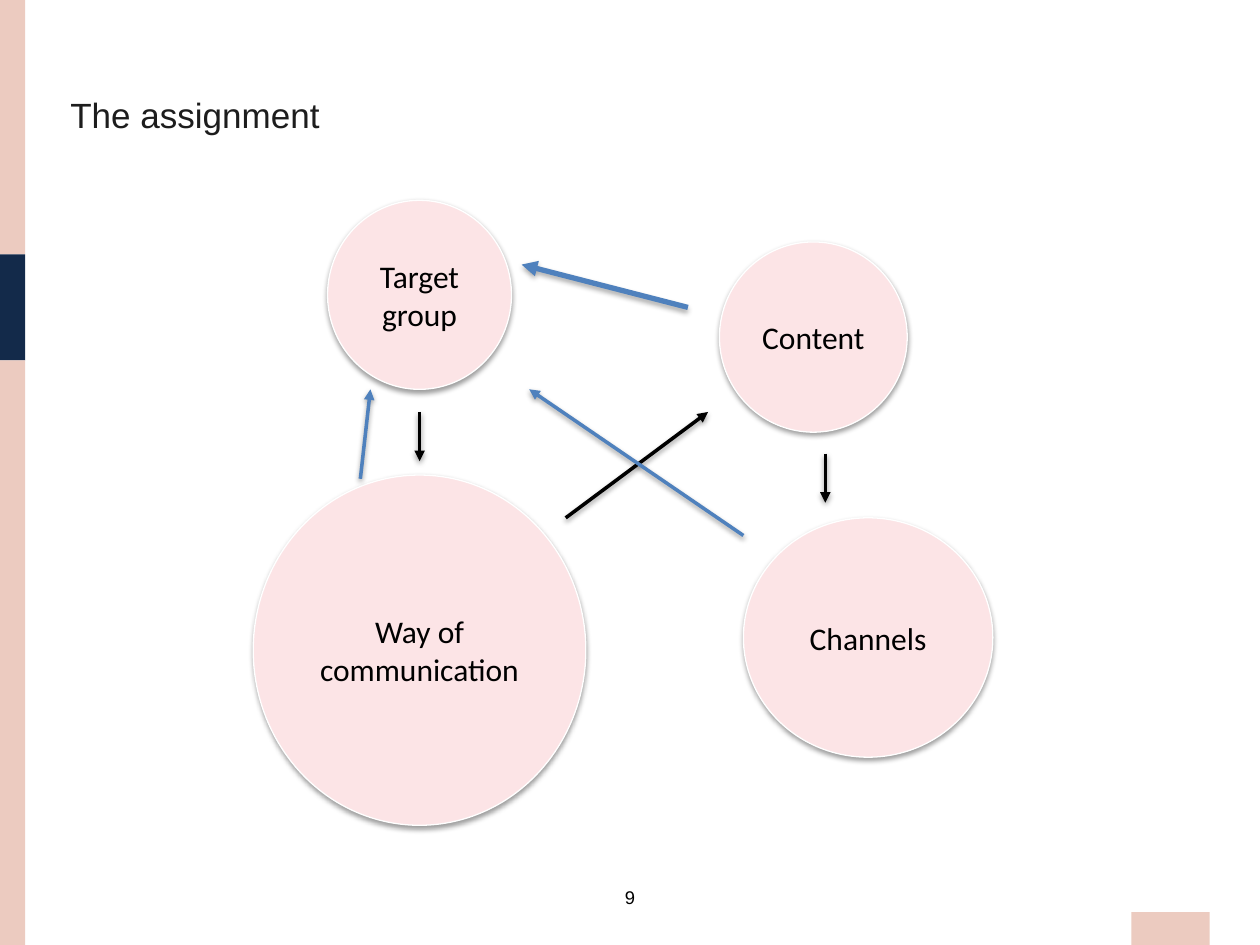
import pptx
import pptx.dml.color
import pptx.enum.shapes
import pptx.enum.text
import pptx.oxml
import pptx.oxml.ns
import pptx.util

RGBColor = pptx.dml.color.RGBColor
Shapes = pptx.enum.shapes.MSO_SHAPE
Align = pptx.enum.text.PP_ALIGN
Pt = pptx.util.Pt

WHITE = RGBColor(0xFF, 0xFF, 0xFF)
BLACK = RGBColor(0x00, 0x00, 0x00)
INK = RGBColor(0x1D, 0x1D, 0x1D)
SAND = RGBColor(0xEC, 0xCB, 0xC0)
NAVY = RGBColor(0x13, 0x2A, 0x4A)
PINK = RGBColor(0xFC, 0xE4, 0xE6)
BLUE = RGBColor(0x4F, 0x81, 0xBD)

COLUMNS, ROWS = 100, 75
CELL = pptx.util.Inches(0.1)
BAR_WIDTH = 2

# left, top, width, height in grid cells
BARS = [
    (0, 0, BAR_WIDTH, 20.2, SAND),
    (0, 20.2, BAR_WIDTH, 8.4, NAVY),
    (0, 28.6, BAR_WIDTH, ROWS - 28.6, SAND),
    (89.8, 72.4, 6.2, ROWS - 72.4, SAND),
]
TOPICS = [
    ("Target group", 26, 15.9, 14.6, 15),
    ("Content", 57.1, 19.2, 14.9, 15.1),
    ("Channels", 59, 41.1, 19.8, 19),
    ("Way of communication", 20.1, 37.7, 26.4, 27.8),
]
# start and end in grid cells, colour, width in points, shadow opacity and distance
ARROWS = [
    ((33.3, 32.7), (33.3, 36.6), BLACK, 2, 38, 1.6),
    ((44.9, 41.1), (56.2, 32.7), BLACK, 2, 38, 1.6),
    ((65.5, 36), (65.5, 39.9), BLACK, 2, 38, 1.6),
    ((59, 42.5), (42, 30.9), BLUE, 2, 38, 1.6),
    ((28.6, 38), (29.4, 30.9), BLUE, 2, 38, 1.6),
    ((54.6, 24.4), (41.4, 21), BLUE, 3, 35, 1.8),
]


def cells(*counts):
    """Turn grid cells into slide lengths."""
    return [round(count * CELL) for count in counts]


def add_span(para, text, size, font, color):
    span = para.add_run()
    span.text = text
    span.font.size = Pt(size)
    span.font.name = font
    span.font.color.rgb = color


def add_shadow(properties, opacity=38, distance=1.6):
    """Give the shape properties a soft shadow that falls straight down."""
    for effects in properties.findall(pptx.oxml.ns.qn("a:effectLst")):
        properties.remove(effects)
    properties.append(pptx.oxml.parse_xml(
        f'<a:effectLst {pptx.oxml.ns.nsdecls("a")}>'
        f'<a:outerShdw blurRad="{Pt(3.1)}" dist="{Pt(distance)}" dir="5400000" rotWithShape="0">'
        f'<a:srgbClr val="{BLACK}"><a:alpha val="{opacity * 1000}"/></a:srgbClr>'
        '</a:outerShdw></a:effectLst>'))


def add_bar(page, left, top, width, height, color):
    bar = page.shapes.add_shape(Shapes.RECTANGLE, *cells(left, top, width, height))
    bar.shadow.inherit = False
    bar.fill.solid()
    bar.fill.fore_color.rgb = color
    bar.line.fill.background()


def add_topic(page, text, left, top, width, height):
    topic = page.shapes.add_shape(Shapes.OVAL, *cells(left, top, width, height))
    topic.fill.solid()
    topic.fill.fore_color.rgb = PINK
    topic.line.color.rgb = WHITE
    topic.line.width = Pt(0.75)
    add_shadow(topic._element.spPr)
    frame = topic.text_frame
    frame.word_wrap = True
    frame.vertical_anchor = pptx.enum.text.MSO_ANCHOR.MIDDLE
    para = frame.paragraphs[0]
    para.alignment = Align.CENTER
    add_span(para, text, 18, "Calibri", BLACK)


def add_arrow(page, start, end, color, width, opacity, distance):
    arrow = page.shapes.add_connector(
        pptx.enum.shapes.MSO_CONNECTOR.STRAIGHT, *cells(*start, *end))
    arrow.line.color.rgb = color
    arrow.line.width = Pt(width)
    arrow.line._get_or_add_ln().append(pptx.oxml.parse_xml(
        f'<a:tailEnd {pptx.oxml.ns.nsdecls("a")} type="triangle"/>'))
    add_shadow(arrow._element.spPr, opacity, distance)


def add_title(page, text):
    box = page.shapes.add_textbox(*cells(4.6, 5.4, 60.8, 6))
    box.text_frame.word_wrap = True
    para = box.text_frame.paragraphs[0]
    para.line_spacing = Pt(35)
    para.space_before = Pt(4)
    add_span(para, text, 20, "Arial", INK)


def add_page_number(page, text):
    width = 3.8
    box = page.shapes.add_textbox(*cells((COLUMNS - width) / 2, 69.8, width, 2.8))
    box.text_frame.word_wrap = False
    para = box.text_frame.paragraphs[0]
    para.alignment = Align.CENTER
    add_span(para, text, 10.5, "Arial", BLACK)


def main():
    deck = pptx.Presentation()
    deck.slide_width, deck.slide_height = cells(COLUMNS, ROWS)
    page = deck.slides.add_slide(deck.slide_layouts[6])
    add_page_number(page, "9")
    for bar in BARS:
        add_bar(page, *bar)
    add_title(page, "The assignment")
    for topic in TOPICS:
        add_topic(page, *topic)
    for arrow in ARROWS:
        add_arrow(page, *arrow)
    deck.save("out.pptx")


if __name__ == "__main__":
    main()
